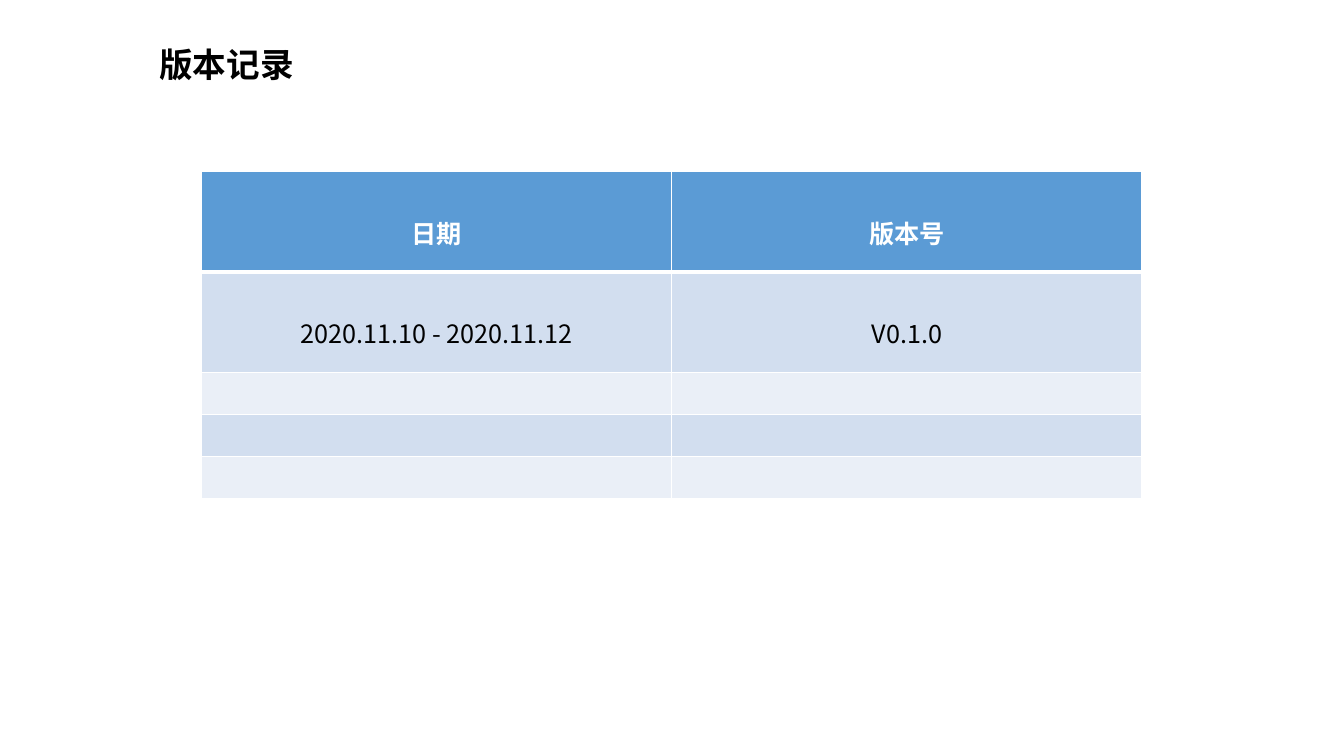
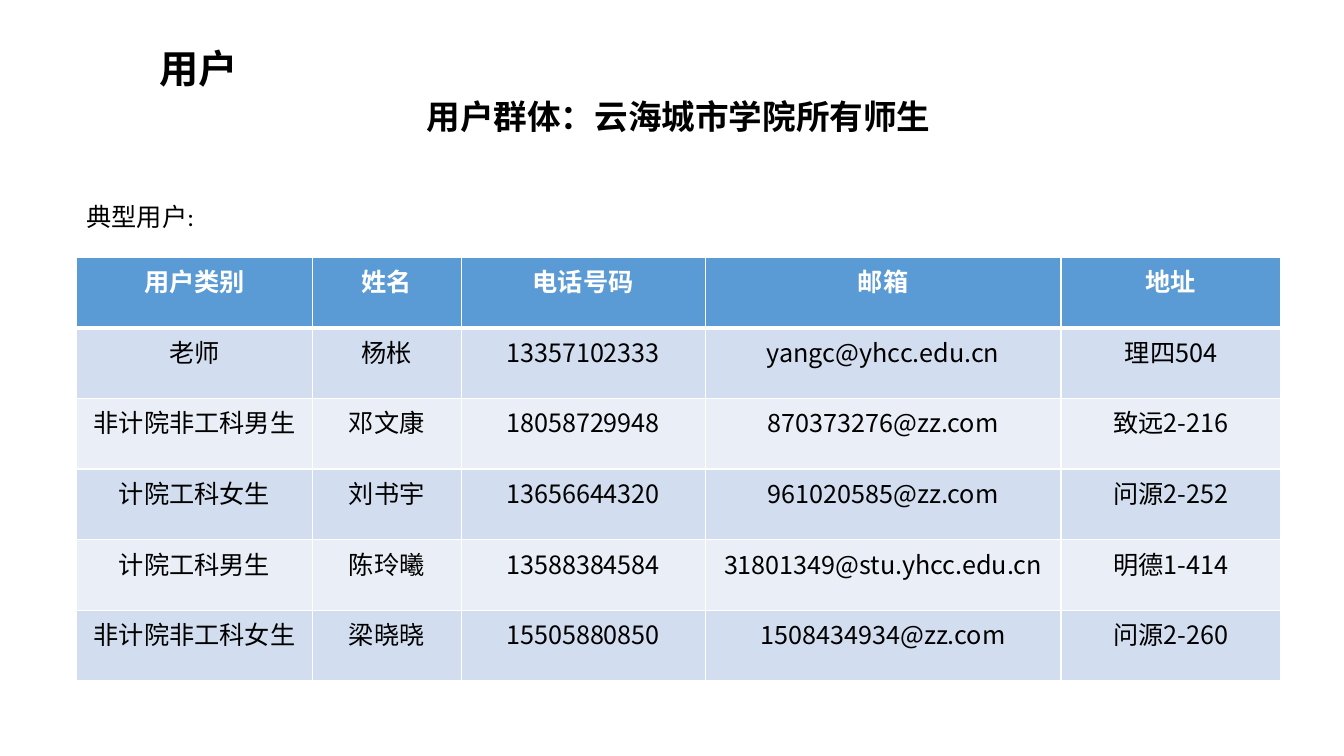
from lxml.etree import SubElement
from pptx import Presentation
from pptx.dml.color import RGBColor
from pptx.enum.text import MSO_ANCHOR, MSO_AUTO_SIZE, PP_ALIGN
from pptx.oxml import parse_xml
from pptx.oxml.ns import nsdecls, qn
from pptx.util import Cm, Pt

BLACK = RGBColor(0, 0, 0)
WHITE = RGBColor(255, 255, 255)
BLUE = RGBColor(0x5B, 0x9B, 0xD5)
BANDS = [RGBColor(0xEA, 0xEF, 0xF7), RGBColor(0xD2, 0xDE, 0xEF)]
NOTO = "Noto Sans CJK SC"
CALIBRI = "Calibri"


def write(frame, text, size, face=NOTO, bold=False, color=BLACK, align=PP_ALIGN.CENTER):
    frame.text = text
    para = frame.paragraphs[0]
    para.alignment = align
    font = para.font
    font.size = Pt(size)
    font.name = face
    font.bold = bold
    font.color.rgb = color
    props = para._p.pPr.find(qn("a:defRPr"))
    SubElement(props, qn("a:ea")).set("typeface", NOTO)


def draw_table(slide, left, top, widths, heights, rows, pad):
    frame = slide.shapes.add_table(
        len(heights), len(widths), Cm(left), Cm(top), Cm(sum(widths)), Cm(sum(heights)))
    table = frame.table
    for column, width in zip(table.columns, widths):
        column.width = Cm(width)
    for r, height in enumerate(heights):
        table.rows[r].height = Cm(height)
        for c in range(len(widths)):
            cell = table.cell(r, c)
            cell.fill.solid()
            cell.fill.fore_color.rgb = BANDS[r % 2] if r else BLUE
            if r < len(rows):
                cell.margin_top = Cm(pad)
                write(cell.text_frame, rows[r][c], 18, bold=r == 0,
                      color=BLACK if r else WHITE)
            props = cell._tc.get_or_add_tcPr()
            for i, side in enumerate("LRTB"):
                thick = (r, side) in ((0, "B"), (1, "T"))
                line = parse_xml(
                    f'<a:ln{side} {nsdecls("a")} w="{Pt(3 if thick else 1)}">'
                    f'<a:solidFill><a:srgbClr val="{WHITE}"/></a:solidFill></a:ln{side}>')
                props.insert(i, line)


deck = Presentation()
deck.slide_width = Cm(33.87)
deck.slide_height = Cm(19.05)

slides = []
for text, size, face, height in [("版本记录", 24, NOTO, 1.27), ("用户", 28, CALIBRI, 1.45)]:
    slide = deck.slides.add_slide(deck.slide_layouts[5])
    title = slide.shapes.title
    title.left, title.top = Cm(3.76), Cm(0.99)
    title.width, title.height = Cm(12.04), Cm(height)
    frame = title.text_frame
    frame.vertical_anchor = MSO_ANCHOR.TOP
    frame.auto_size = MSO_AUTO_SIZE.NONE
    write(frame, text, size, face, True, align=PP_ALIGN.LEFT)
    slides.append(slide)
history, users = slides

draw_table(history, 5.08, 4.32, [11.85] * 2, [2.53] * 2 + [1.06] * 3, [
    ["日期", "版本号"],
    ["2020.11.10 - 2020.11.12", "V0.1.0"],
], 1.07)

draw_table(users, 1.93, 6.48, [5.94, 3.75, 6.15, 8.97, 5.54], [1.78] * 6, [
    ["用户类别", "姓名", "电话号码", "邮箱", "地址"],
    ["老师", "杨枨", "13357102333", "yangc@yhcc.edu.cn", "理四504"],
    ["非计院非工科男生", "邓文康", "18058729948", "870373276@zz.com", "致远2-216"],
    ["计院工科女生", "刘书宇", "13656644320", "961020585@zz.com", "问源2-252"],
    ["计院工科男生", "陈玲曦", "13588384584", "31801349@stu.yhcc.edu.cn", "明德1-414"],
    ["非计院非工科女生", "梁晓晓", "15505880850", "1508434934@zz.com", "问源2-260"],
], 0.13)

for text, left, top, width, height, size, bold, align in [
    ("用户群体：云海城市学院所有师生", 5.16, 2.29, 23.88, 1.27, 24, True, PP_ALIGN.CENTER),
    ("典型用户:", 1.93, 4.95, 3.73, 1.02, 18, False, PP_ALIGN.LEFT),
]:
    box = users.shapes.add_textbox(Cm(left), Cm(top), Cm(width), Cm(height))
    box.text_frame.word_wrap = True
    write(box.text_frame, text, size, CALIBRI, bold, align=align)

deck.save("out.pptx")
